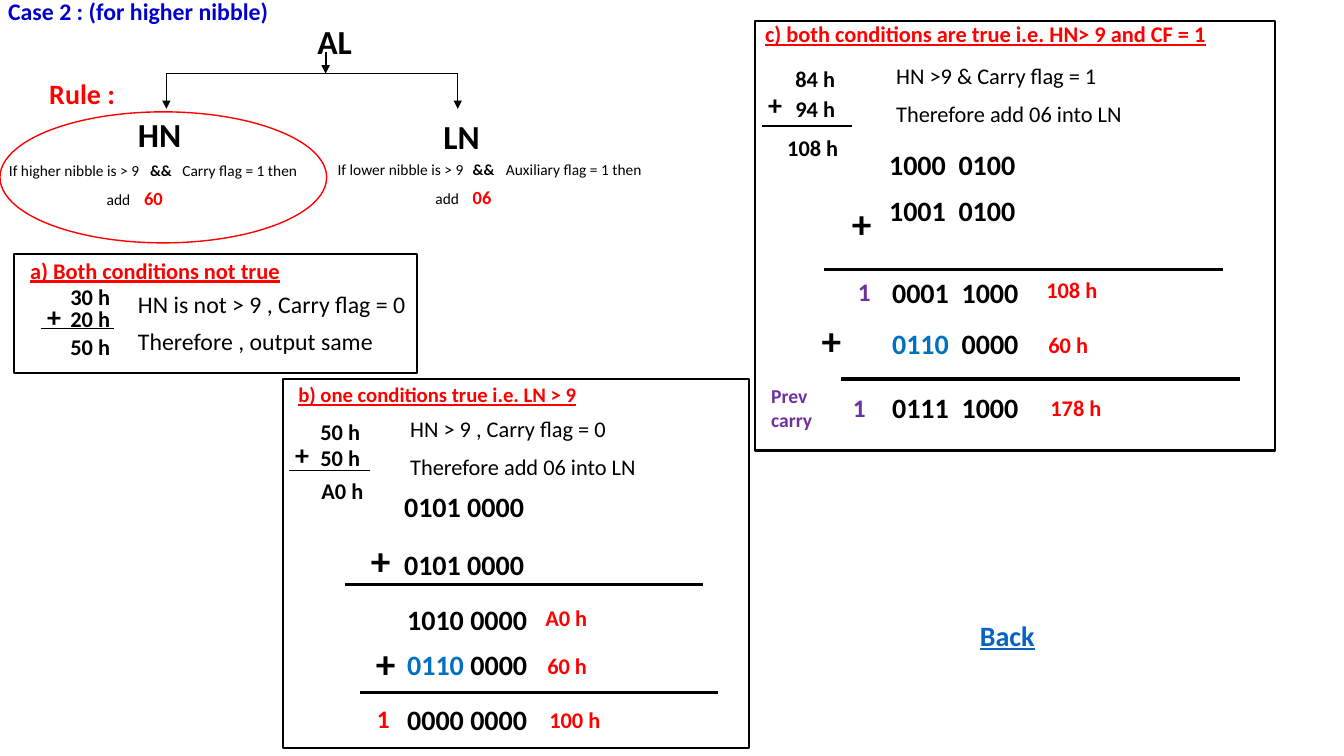
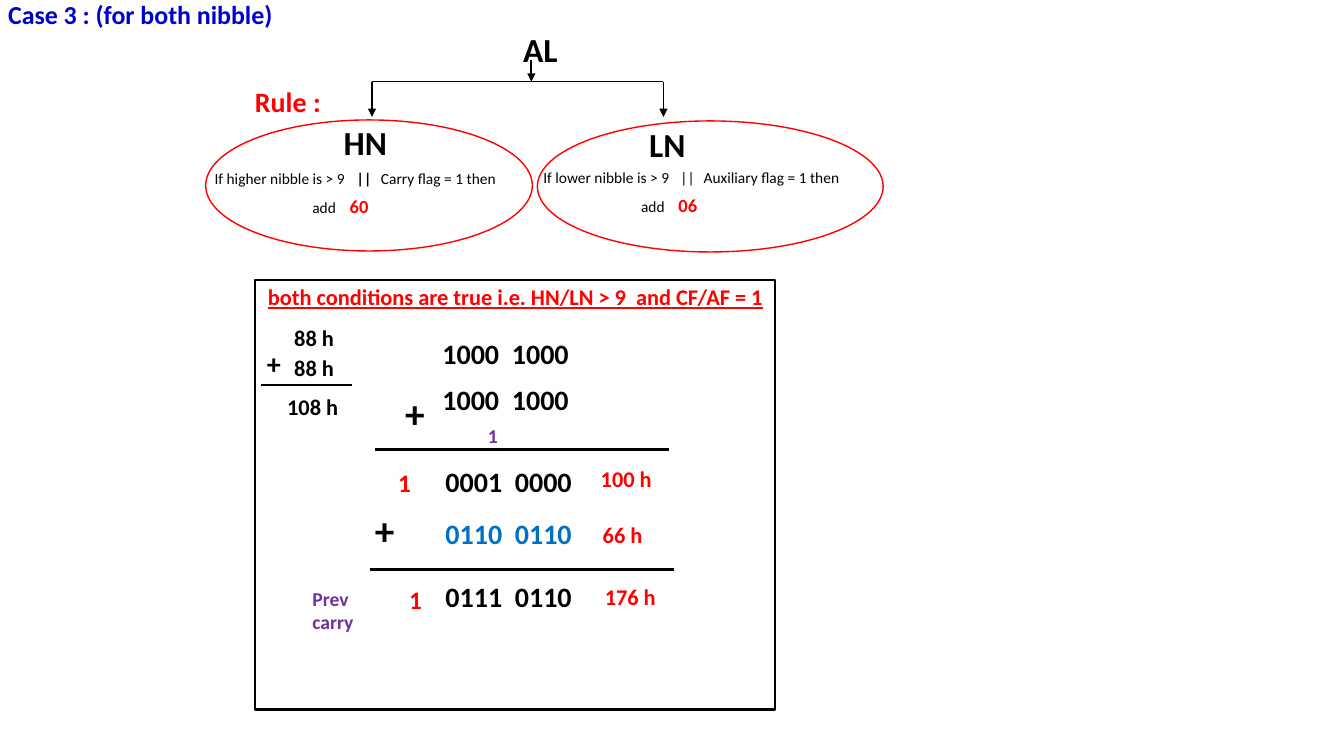
from dataclasses import dataclass

from lxml.etree import SubElement
from pptx import Presentation
from pptx.dml.color import RGBColor
from pptx.enum.shapes import MSO_CONNECTOR, MSO_SHAPE
from pptx.enum.text import MSO_ANCHOR, MSO_AUTO_SIZE, PP_ALIGN
from pptx.oxml.ns import qn
from pptx.util import Emu, Pt

FONT = "Calibri"
BLACK, RED, BLUE, PURPLE = "000000", "FF0000", "0070C0", "7030A0"
TITLE_BLUE, LINK_BLUE = "0000CC", "0563C1"


def px(length):
    """One px is a hundredth of an inch."""
    return Emu(round(length * 9144))


def rgb(colour):
    return RGBColor.from_string(colour)


@dataclass
class Span:
    text: str
    size: float = 16
    colour: str = BLACK
    bold: bool = True
    underline: bool = False


def fill_text(frame, paragraphs, spacing=1.0, stops=()):
    """Write lists of spans as paragraphs; stops holds tab positions for each paragraph."""
    frame.word_wrap = True
    frame.auto_size = MSO_AUTO_SIZE.NONE
    frame.vertical_anchor = MSO_ANCHOR.TOP
    for index, spans in enumerate(paragraphs):
        para = frame.add_paragraph() if index else frame.paragraphs[0]
        if stops:
            tabs = SubElement(para._p.get_or_add_pPr(), qn("a:tabLst"))
            for stop in stops[index]:
                SubElement(tabs, qn("a:tab"), pos=str(px(stop)), algn="l")
        para.alignment = PP_ALIGN.LEFT
        para.line_spacing = spacing
        if index:
            para.space_before = Pt(10)
        for span in spans:
            run = para.add_run()
            run.text = span.text
            run.font.name = FONT
            run.font.size = Pt(span.size)
            run.font.bold = span.bold
            run.font.underline = span.underline
            run.font.color.rgb = rgb(span.colour)


def add_text(page, x, y, width, height, paragraphs, spacing=1.0, stops=()):
    box = page.shapes.add_textbox(px(x), px(y), px(width), px(height))
    fill_text(box.text_frame, paragraphs, spacing, stops)


def add_label(page, x, y, text, size=16, colour=BLACK, width=90):
    add_text(page, x, y, width, 40, [[Span(text, size, colour)]])


def add_outline(page, kind, x, y, width, height, colour, weight):
    shape = page.shapes.add_shape(kind, px(x), px(y), px(width), px(height))
    shape.shadow.inherit = False
    shape.fill.background()
    shape.line.color.rgb = rgb(colour)
    shape.line.width = Pt(weight)


def add_line(page, x1, y1, x2, y2, weight=1.0, arrow=False):
    line = page.shapes.add_connector(MSO_CONNECTOR.STRAIGHT, px(x1), px(y1), px(x2), px(y2))
    line.line.color.rgb = rgb(BLACK)
    line.line.width = Pt(weight)
    if arrow:
        SubElement(line.line._get_or_add_ln(), qn("a:tailEnd"), type="triangle")
    SubElement(line._element.spPr, qn("a:effectLst"))


def add_case_page(deck, title, size, spacing):
    page = deck.slides.add_slide(deck.slide_layouts[5])
    box = page.shapes.title
    box.left, box.top, box.width, box.height = px(-2), px(-3), px(301), px(53)
    fill_text(box.text_frame, [[Span(title, size, TITLE_BLUE)]], spacing)
    return page


@dataclass
class Nibble:
    condition: str
    operator: str
    flag: str
    correction: str
    stops: tuple
    bold_operator: bool = True


def add_rule_tree(page, x, y, higher, lower):
    """Draw AL splitting into its nibbles, with the correction rule under each."""
    for dx, dy, name in ((305, 16, "AL"), (127, 108, "HN"), (430, 110, "LN")):
        add_label(page, x + dx, y + dy, name, 24)
    add_label(page, x + 39, y + 71, "Rule :", 20, RED, 160)
    add_line(page, x + 165, y + 73, x + 454, y + 73)
    add_line(page, x + 323, y + 52, x + 323, y + 73, 1.5, arrow=True)
    for dx in (165, 454):
        add_line(page, x + dx, y + 73, x + dx, y + 108, arrow=True)
    for nibble, dx, dy, width in ((higher, -1, 160, 324), (lower, 325, 159, 358)):
        rule = [
            [Span(nibble.condition, 11, bold=False),
             Span("\t" + nibble.operator, 11, bold=nibble.bold_operator),
             Span("\t" + nibble.flag, 11, bold=False)],
            [Span("\tadd", 11, bold=False), Span("\t" + nibble.correction, 13.2, RED)],
        ]
        add_text(page, x + dx, y + dy, width, 73, rule, 0.7, (nibble.stops, (97, 134)))


def add_panel(page, x, y, width, height, heading, dx, dy, size=16, spacing=0.9):
    add_outline(page, MSO_SHAPE.RECTANGLE, x, y, width, height, BLACK, 1.5)
    add_text(page, x + dx, y + dy, width, 38,
             [[Span(heading, size, RED, underline=True)]], spacing)


def add_remarks(page, x, y, lines, size=16, spacing=0.9):
    add_text(page, x, y, 328, 87, [[Span(line, size, bold=False)] for line in lines], spacing)


def add_hex_sum(page, x, y, numbers, pitch, bar, result):
    """bar is left, top and length, result is left and top, both from the first number."""
    left, top, length = bar
    places = ((0, 0), (0, pitch), result)
    for number, (dx, dy) in zip(numbers, places):
        add_label(page, x + dx, y + dy, number)
    add_label(page, x + left - 4, y + pitch * 0.75, "+", 20, width=50)
    add_line(page, x + left, y + top, x + left + length, y + top)


@dataclass
class SumLayout:
    """Offsets from the first binary number."""
    tops: tuple
    pluses: tuple
    bars: tuple
    hex_left: int


WIDE_PLUSES = ((-37, 52), (-67, 168))
WIDE_TOPS = (0, 46, 127, 178, 241)
NARROW = SumLayout((0, 57, 112, 156, 211), ((-33, 46), (-28, 148)),
                   ((-49, 306, 99), (-34, 321, 206)), 140)
WIDE = SumLayout(WIDE_TOPS, WIDE_PLUSES, ((-55, 341, 126), (-38, 358, 235)), 156)
SHORT_BARS = SumLayout(WIDE_TOPS, WIDE_PLUSES, ((-57, 235, 117), (-62, 239, 236)), 157)


def add_binary_sum(page, x, y, layout, rows, hex_values):
    """Add two numbers, then the correction; a row is a (blue part, black part) pair."""
    for index, (top, (blue, black)) in enumerate(zip(layout.tops, rows)):
        spans = [Span(text, 20, colour)
                 for text, colour in ((blue, BLUE), (black, BLACK)) if text]
        add_text(page, x + (3 if index > 1 else 0), y + top, 160, 44, [spans])
    for index, (value, dy) in enumerate(zip(hex_values, (1, 5, 4))):
        add_label(page, x + layout.hex_left + 2 * index, y + layout.tops[index + 2] + dy,
                  value, colour=RED)
    for dx, dy in layout.pluses:
        add_label(page, x + dx, y + dy, "+", 28, width=56)
    for left, right, top in layout.bars:
        add_line(page, x + left, y + top, x + right, y + top, 2.25)


def add_carries(page, x, y, carries):
    for dx, dy, colour, size in carries:
        add_label(page, x + dx, y + dy, "1", size, colour, 33)


def add_previous_carry(page, x, y):
    add_label(page, x, y, "Prev carry", 14, PURPLE, 63)


def add_no_condition_panel(page, x, y):
    add_panel(page, x, y, 400, 118, "a) Both conditions not true", 6, 3, spacing=0.8)
    add_hex_sum(page, x + 46, y + 24, ("30 h", "20 h", "50 h"), 22, (-19, 50, 72), (0, 50))
    add_remarks(page, x + 113, y + 36,
                ("HN is not > 9 , Carry flag = 0", "Therefore , output same"), 17, 0.8)


def add_one_condition_panel(page, x, y):
    add_panel(page, x, y, 462, 366, "b) one conditions true i.e. LN > 9", 5, 1, 14.8)
    add_hex_sum(page, x + 27, y + 34, ("50 h", "50 h", "A0 h"), 26, (-21, 57, 80), (1, 58))
    add_remarks(page, x + 116, y + 34, ("HN > 9 , Carry flag = 0", "Therefore add 06 into LN"))
    rows = (("", "0101 0000"), ("", "0101 0000"), ("", "1010 0000"),
            ("0110 ", "0000"), ("", "0000 0000"))
    add_binary_sum(page, x + 110, y + 105, NARROW, rows, ("A0 h", "60 h", "100 h"))
    add_carries(page, x, y, [(83, 317, RED, 18)])


def add_both_conditions_panel(page, x, y):
    add_panel(page, x, y, 516, 426,
              "c) both conditions are true i.e. HN> 9 and CF = 1", 0, -3)
    add_hex_sum(page, x + 30, y + 39, ("84 h", "94 h", "108 h"), 29, (-23, 65, 89), (-8, 68))
    add_remarks(page, x + 130, y + 39, ("HN >9 & Carry flag = 1", "Therefore add 06 into LN"))
    rows = (("", "1000  0100"), ("", "1001  0100"), ("", "0001  1000"),
            ("0110  ", "0000"), ("", "0111  1000"))
    add_binary_sum(page, x + 123, y + 120, WIDE, rows, ("108 h", "60 h", "178 h"))
    add_carries(page, x, y, [(92, 248, PURPLE, 18), (87, 363, PURPLE, 18)])
    add_previous_carry(page, x + 6, y + 355)


def add_both_nibbles_panel(page, x, y):
    add_panel(page, x, y, 516, 426,
              "both conditions are true i.e. HN/LN > 9  and CF/AF = 1", 3, 1)
    add_hex_sum(page, x + 29, y + 39, ("88 h", "88 h", "108 h"), 29, (-23, 65, 90), (-7, 68))
    rows = (("", "1000  1000"), ("", "1000  1000"), ("", "0001  0000"),
            ("0110  0110", ""), ("", "0111  0110"))
    add_binary_sum(page, x + 176, y + 51, SHORT_BARS, rows, ("100 h", "66 h", "176 h"))
    add_carries(page, x, y, [(132, 181, RED, 18), (221, 138, PURPLE, 14), (143, 297, RED, 18)])
    add_previous_carry(page, x + 47, y + 299)


def build_higher_nibble(deck):
    page = add_case_page(deck, "Case 2 : (for higher nibble)", 17, 0.8)
    add_rule_tree(
        page, 0, 0,
        Nibble("If higher nibble is > 9", "&&", "Carry flag = 1 then", "60", (140, 172)),
        Nibble("If lower nibble is > 9", "&&", "Auxiliary flag = 1 then", "06", (134, 167)))
    add_outline(page, MSO_SHAPE.OVAL, 0, 111, 324, 130, RED, 1)
    add_no_condition_panel(page, 14, 252)
    add_one_condition_panel(page, 281, 376)
    add_both_conditions_panel(page, 749, 21)
    add_text(page, 962, 612, 301, 53, [[Span("Back", 20, LINK_BLUE, underline=True)]], 0.9)


def build_both_nibbles(deck):
    page = add_case_page(deck, "Case 3 : (for both nibble)", 18.5, 0.9)
    add_rule_tree(
        page, 204, 8,
        Nibble("If higher nibble is > 9", "||", "Carry flag = 1 then", "60", (141, 165)),
        Nibble("If lower nibble is > 9", "||", "Auxiliary flag = 1 then", "06", (136, 159), False))
    add_outline(page, MSO_SHAPE.OVAL, 204, 119, 324, 130, RED, 1)
    add_outline(page, MSO_SHAPE.OVAL, 533, 120, 343, 130, RED, 1)
    add_both_nibbles_panel(page, 253, 278)


def main():
    deck = Presentation()
    deck.slide_width, deck.slide_height = px(1333), px(750)
    build_higher_nibble(deck)
    build_both_nibbles(deck)
    deck.save("out.pptx")


if __name__ == "__main__":
    main()
